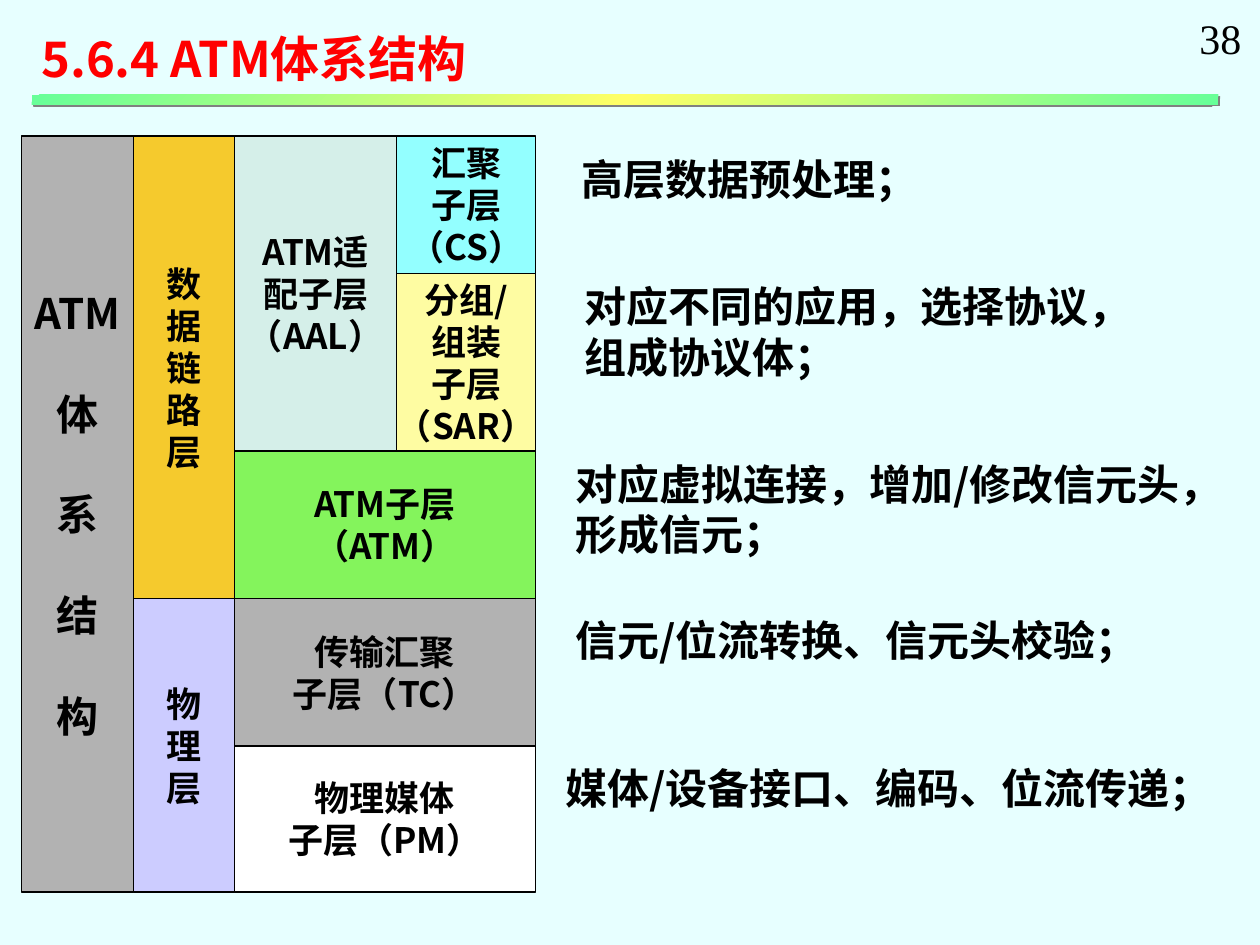
from lxml.etree import SubElement
from pptx import Presentation
from pptx.dml.color import RGBColor
from pptx.enum.shapes import MSO_SHAPE
from pptx.enum.text import MSO_ANCHOR, PP_ALIGN
from pptx.oxml import parse_xml
from pptx.oxml.ns import nsdecls, qn
from pptx.util import Inches, Pt

COLORS = {
    "background": "E7FFFF", "text": "000000", "title": "FF0000",
    "gray": "B2B2B2", "gold": "F5CA2D", "lavender": "CCCCFF",
    "mint": "D5EFE9", "cyan": "93FFFF", "yellow": "FEFCA2",
    "green": "84F45C", "white": "FFFFFF", "shadow": "808080",
    "bar_end": "66FF99", "bar_middle": "FFFF66",
}
SANS, SERIF = "Noto Sans CJK SC", "Times New Roman"


class SlideBuilder:
    line_ratio = 1.2

    def __init__(self, slide):
        self.slide = slide
        self.group = slide.shapes.add_group_shape()

    def color(self, name):
        return RGBColor.from_string(COLORS[name])

    def background(self, name):
        fill = self.slide.background.fill
        fill.solid()
        fill.fore_color.rgb = self.color(name)

    def add_lines(self, frame, lines, size, color="text", font=SANS, bold=True,
                  align=PP_ALIGN.LEFT, gap=0):
        for index, line in enumerate(lines):
            paragraph = frame.add_paragraph() if index else frame.paragraphs[0]
            paragraph.alignment = align
            if font == SANS:
                paragraph.line_spacing = Pt(size * self.line_ratio)
            if index and gap:
                paragraph.space_before = Pt(gap)
            run = paragraph.add_run()
            run.text = line
            run.font.size = Pt(size)
            run.font.bold = bold
            run.font.name = font
            run.font.color.rgb = self.color(color)
            east_asian = SubElement(run._r.get_or_add_rPr(), qn("a:ea"))
            east_asian.set("typeface", font)

    def block(self, left, top, right, bottom, fill, lines, size=20, gap=0):
        shape = self.group.shapes.add_shape(
            MSO_SHAPE.RECTANGLE, Inches(left), Inches(top),
            Inches(right - left), Inches(bottom - top))
        shape.shadow.inherit = False
        shape.fill.solid()
        shape.fill.fore_color.rgb = self.color(fill)
        shape.line.color.rgb = self.color("text")
        shape.line.width = Pt(0.75)
        shape.text_frame.word_wrap = False
        shape.text_frame.vertical_anchor = MSO_ANCHOR.MIDDLE
        self.add_lines(shape.text_frame, lines, size, align=PP_ALIGN.CENTER, gap=gap)

    def text(self, left, top, width, height, lines, size=24, **style):
        box = self.slide.shapes.add_textbox(
            Inches(left), Inches(top), Inches(width), Inches(height))
        box.text_frame.word_wrap = False
        self.add_lines(box.text_frame, lines, size, **style)

    def gradient_bar(self, left, top, width, height):
        shape = self.slide.shapes.add_shape(
            MSO_SHAPE.RECTANGLE, Inches(left), Inches(top), Inches(width), Inches(height))
        shape.line.fill.background()
        stops = "".join(
            f'<a:gs pos="{position}"><a:srgbClr val="{COLORS[name]}"/></a:gs>'
            for position, name in ((0, "bar_end"), (50000, "bar_middle"), (100000, "bar_end")))
        gradient = parse_xml(
            f'<a:gradFill {nsdecls("a")}><a:gsLst>{stops}</a:gsLst>'
            '<a:lin ang="13500000" scaled="1"/></a:gradFill>')
        shadow = parse_xml(
            f'<a:effectLst {nsdecls("a")}><a:outerShdw blurRad="0" dist="{Pt(1.4)}" '
            f'dir="2700000"><a:srgbClr val="{COLORS["shadow"]}"/></a:outerShdw></a:effectLst>')
        properties = shape._element.spPr
        properties.find(qn("a:prstGeom")).addnext(gradient)
        properties.append(shadow)


def main():
    presentation = Presentation()
    presentation.slide_width = Inches(10)
    presentation.slide_height = Inches(7.5)
    builder = SlideBuilder(presentation.slides.add_slide(presentation.slide_layouts[6]))
    builder.background("background")

    system, layer, sublayer, part, right = 0.17, 1.06, 1.86, 3.15, 4.25
    top, split, atm, physical, medium, bottom = 1.08, 2.17, 3.58, 4.75, 5.92, 7.08
    blocks = [
        (sublayer, medium, right, bottom, "white", ["物理媒体", "子层（PM）"]),
        (sublayer, physical, right, medium, "gray", ["传输汇聚", "子层（TC）"]),
        (sublayer, atm, right, physical, "green", ["ATM子层", "（ATM）"]),
        (sublayer, top, part, atm, "mint", ["ATM适", "配子层", "（AAL）"]),
        (layer, physical, sublayer, bottom, "lavender", "物理层"),
        (layer, top, sublayer, physical, "gold", "数据链路层"),
        (part, split, right, atm, "yellow", ["分组/", "组装", "子层", "（SAR）"]),
        (part, top, right, split, "cyan", ["汇聚", "子层", "（CS）"]),
    ]
    for block in blocks:
        builder.block(*block)
    builder.block(system, top, layer, bottom, "gray",
                  ["ATM", "体", "系", "结", "构"], size=24, gap=28.8)

    notes = [
        (4.52, 1.17, 2.86, 0.5, ["高层数据预处理；"]),
        (4.54, 2.18, 4.53, 0.9, ["对应不同的应用，选择协议，", "组成协议体；"]),
        (4.47, 3.59, 5.5, 0.9, ["对应虚拟连接，增加/修改信元头，", "形成信元；"]),
        (4.47, 4.83, 4.83, 0.5, ["信元/位流转换、信元头校验；"]),
        (4.39, 6, 5.5, 0.5, ["媒体/设备接口、编码、位流传递；"]),
    ]
    for note in notes:
        builder.text(*note)

    builder.text(9.42, 0.05, 0.53, 0.5, ["38"], font=SERIF, bold=False)
    builder.text(0.23, 0.18, 3.98, 0.57, ["5.6.4 ATM体系结构"], size=28, color="title")
    builder.gradient_bar(0.25, 0.75, 9.42, 0.08)
    presentation.save("out.pptx")


if __name__ == "__main__":
    main()
